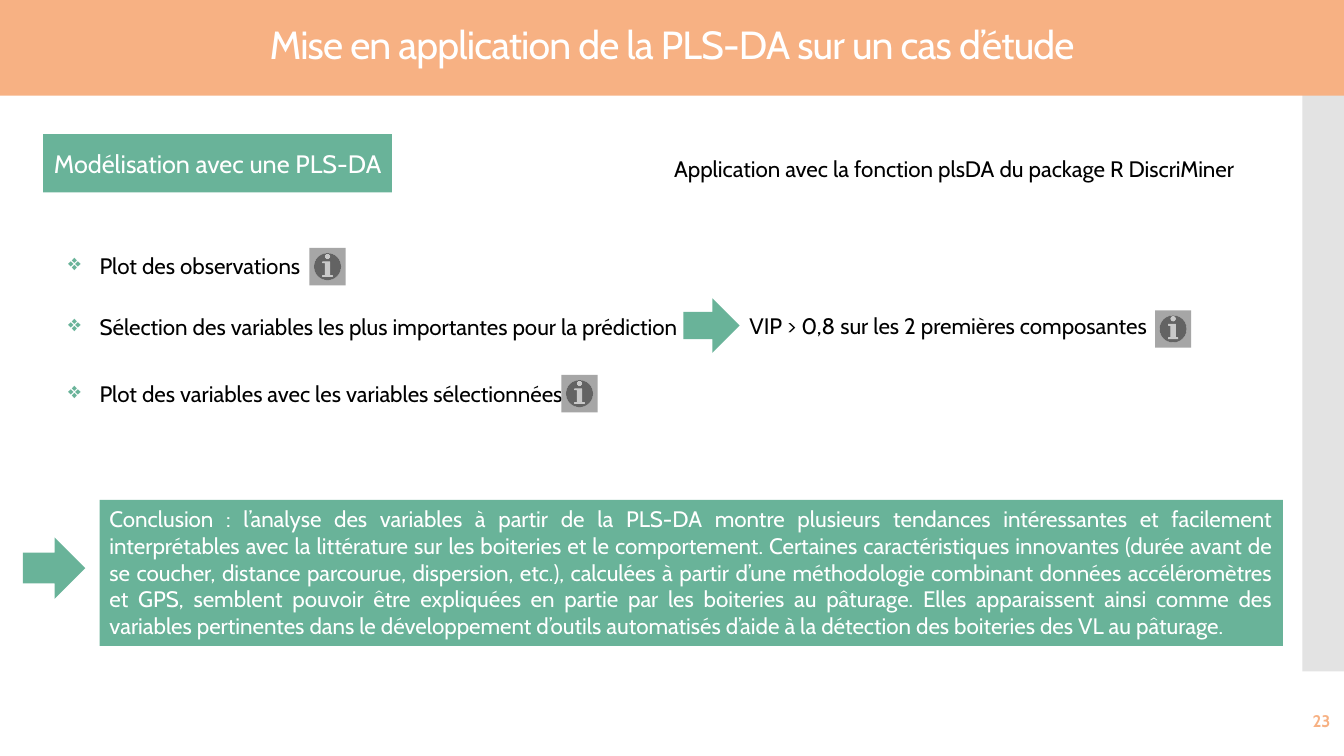
from dataclasses import dataclass

from lxml import etree
from pptx import Presentation
from pptx.dml.color import RGBColor
from pptx.enum.shapes import MSO_SHAPE
from pptx.enum.text import MSO_ANCHOR, MSO_AUTO_SIZE, PP_ALIGN
from pptx.oxml.ns import qn
from pptx.util import Cm, Pt

RECT = MSO_SHAPE.RECTANGLE
ARROW = MSO_SHAPE.RIGHT_ARROW
INFO = MSO_SHAPE.ACTION_BUTTON_INFORMATION
TOP, MIDDLE = MSO_ANCHOR.TOP, MSO_ANCHOR.MIDDLE
LEFT, CENTER = PP_ALIGN.LEFT, PP_ALIGN.CENTER
RIGHT, JUSTIFY = PP_ALIGN.RIGHT, PP_ALIGN.JUSTIFY
FIT = MSO_AUTO_SIZE.SHAPE_TO_FIT_TEXT


@dataclass(frozen=True)
class Theme:
    """Hold the colours, the font and the type sizes."""

    peach: str = "F7B183"
    green: str = "69B399"
    band: str = "E3E3E3"
    grey: str = "A6A6A6"
    white: str = "FFFFFF"
    black: str = "000000"
    font: str = "Cabin"
    title: int = 28
    label: int = 18
    body: int = 16
    page: int = 12


THEME = Theme()

ITEMS = [
    ("Plot des observations", 6.22, 10.36),
    ("Sélection des variables les plus importantes pour la prédiction", 7.77, 19.1),
    ("Plot des variables avec les variables sélectionnées", 9.45, 13.13),
]
ICONS = [(7.8, 6.25), (14.15, 9.45), (29.11, 7.82)]
ARROWS = [(17.22, 7.52, 1.42, 1.37), (0.58, 13.54, 1.57, 1.55)]
CLOSING = (
    "Conclusion : l’analyse des variables à partir de la PLS-DA montre plusieurs "
    "tendances intéressantes et facilement interprétables avec la littérature sur "
    "les boiteries et le comportement. Certaines caractéristiques innovantes (durée "
    "avant de se coucher, distance parcourue, dispersion, etc.), calculées à partir "
    "d’une méthodologie combinant données accéléromètres et GPS, semblent pouvoir "
    "être expliquées en partie par les boiteries au pâturage. Elles apparaissent "
    "ainsi comme des variables pertinentes dans le développement d’outils "
    "automatisés d’aide à la détection des boiteries des VL au pâturage."
)


def assign(target, values):
    """Set each named value on the target."""
    for name, value in values.items():
        setattr(target, name, value)


def add_form(slide, kind, box, color):
    """Add a flat filled shape."""
    form = slide.shapes.add_shape(kind, *map(Cm, box))
    form.shadow.inherit = False
    form.fill.solid()
    form.fill.fore_color.rgb = RGBColor.from_string(color)
    form.line.fill.background()
    return form


def write(shape, text, size=THEME.body, color=THEME.black, align=LEFT,
          frame=None, font=None):
    """Write one styled paragraph in a shape and return it."""
    body = shape.text_frame
    assign(body, {"word_wrap": True, "vertical_anchor": TOP, **(frame or {})})
    para = body.paragraphs[0]
    para.alignment = align
    run = para.add_run()
    run.text = text
    assign(run.font, {"name": THEME.font, "size": Pt(size), **(font or {})})
    run.font.color.rgb = RGBColor.from_string(color)
    return para


def add_text(slide, box, text, **style):
    """Add a text box with one paragraph."""
    return write(slide.shapes.add_textbox(*map(Cm, box)), text, **style)


def add_item(slide, text, top, width):
    """Add one line with a green diamond bullet."""
    para = add_text(slide, (1.47, top, width, 0.94), text, frame={"auto_size": FIT})
    props = para._p.get_or_add_pPr()
    assign_xml(props, {"marL": Cm(0.79), "indent": -Cm(0.79)})
    tint = etree.SubElement(props, qn("a:buClr"))
    etree.SubElement(tint, qn("a:srgbClr"), val=THEME.green)
    etree.SubElement(props, qn("a:buChar"), char="❖")


def assign_xml(node, values):
    """Set each named attribute on an XML node."""
    for name, value in values.items():
        node.set(name, str(int(value)))


def add_head(slide):
    """Add the side band, the title bar and the title."""
    add_form(slide, RECT, (32.82, 2.11, 1.05, 14.81), THEME.band)
    add_form(slide, RECT, (0, 0, 33.87, 2.41), THEME.peach)
    para = add_text(
        slide, (0, 0, 33.87, 2.36), "Mise en application de la PLS-DA sur un cas d’étude",
        size=THEME.title, color=THEME.white, align=CENTER,
        frame={"vertical_anchor": MIDDLE})
    para.line_spacing = 0.9
    assign_xml(para.runs[0]._r.get_or_add_rPr(), {"spc": -60})


def add_body(slide):
    """Add the label, the method, the steps and their marks."""
    label = add_form(slide, RECT, (1.09, 3.38, 8.79, 1.47), THEME.green)
    write(label, "Modélisation avec une PLS-DA", size=THEME.label, color=THEME.white,
          align=CENTER, frame={"vertical_anchor": MIDDLE, "word_wrap": False})
    add_text(slide, (16.74, 3.78, 15.04, 0.94),
             "Application avec la fonction plsDA du package R DiscriMiner",
             frame={"auto_size": FIT})
    for item in ITEMS:
        add_item(slide, *item)
    add_text(slide, (18.26, 7.75, 11.28, 0.94),
             "VIP > 0,8 sur les 2 premières composantes",
             align=CENTER, frame={"auto_size": FIT})
    for box in ARROWS:
        add_form(slide, ARROW, box, THEME.green)
    for spot in ICONS:
        add_form(slide, INFO, (*spot, 0.91, 0.94), THEME.grey)


def add_foot(slide):
    """Add the conclusion and the page number."""
    panel = add_form(slide, RECT, (2.51, 12.6, 29.82, 3.68), THEME.green)
    write(panel, CLOSING, color=THEME.white, align=JUSTIFY, frame={"auto_size": FIT})
    add_text(slide, (29.54, 17.65, 4.24, 1.02), "23", size=THEME.page,
             color=THEME.peach, align=RIGHT, frame={"vertical_anchor": MIDDLE},
             font={"bold": True})


def main():
    """Build and save the slide."""
    deck = Presentation()
    assign(deck, {"slide_width": Cm(33.87), "slide_height": Cm(19.05)})
    slide = deck.slides.add_slide(deck.slide_layouts[6])
    add_head(slide)
    add_body(slide)
    add_foot(slide)
    deck.save("out.pptx")


if __name__ == "__main__":
    main()
